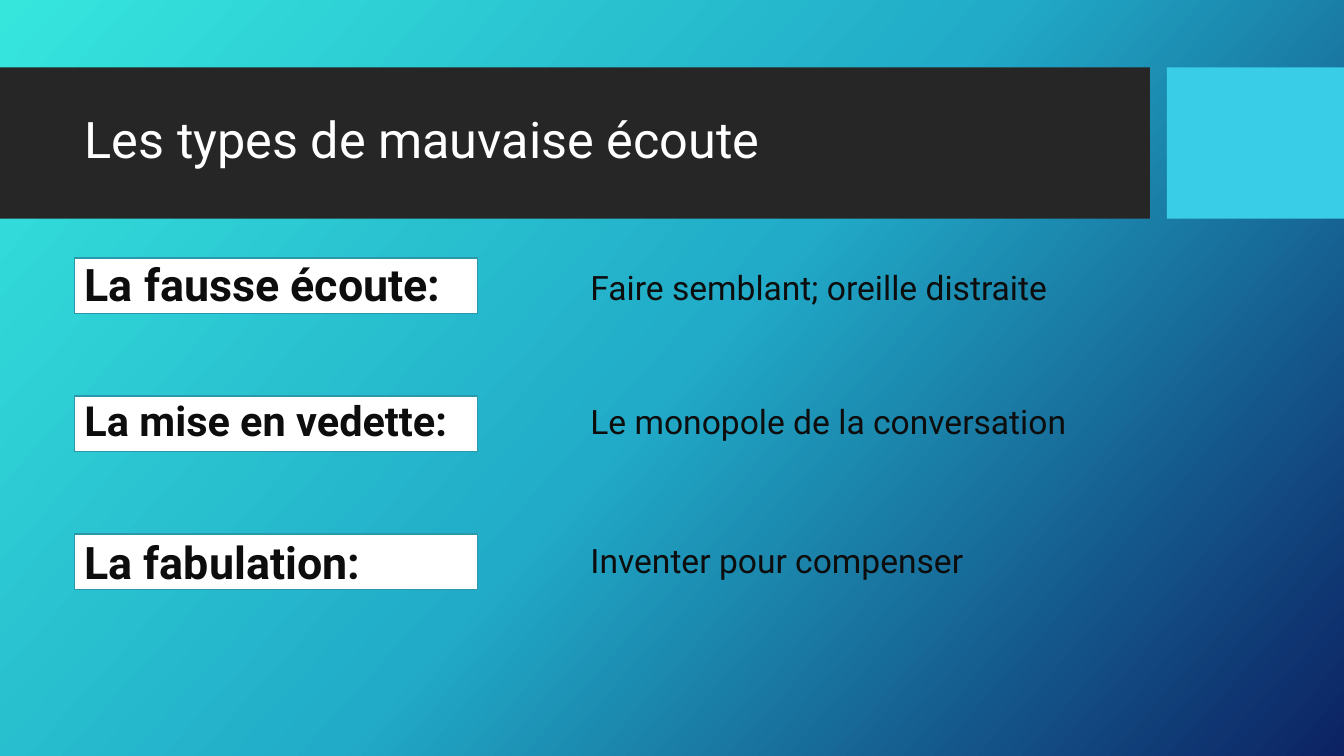
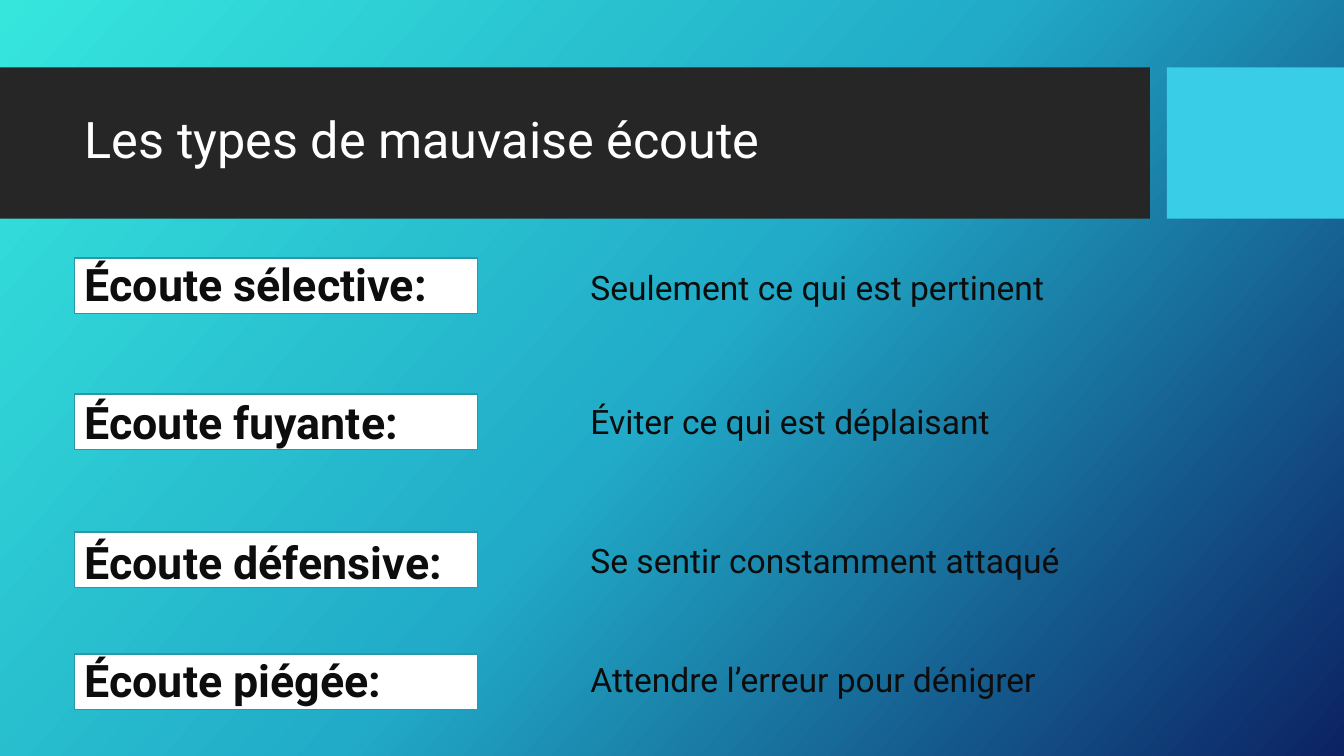
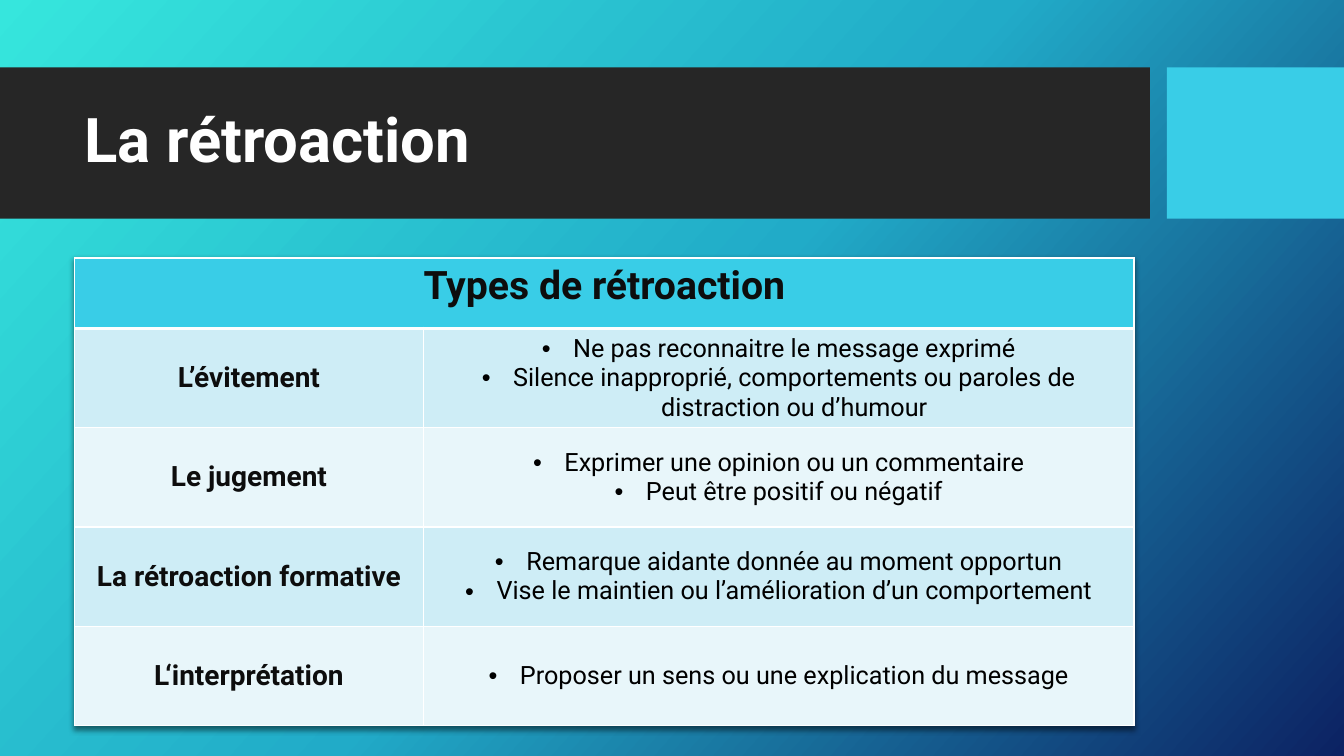
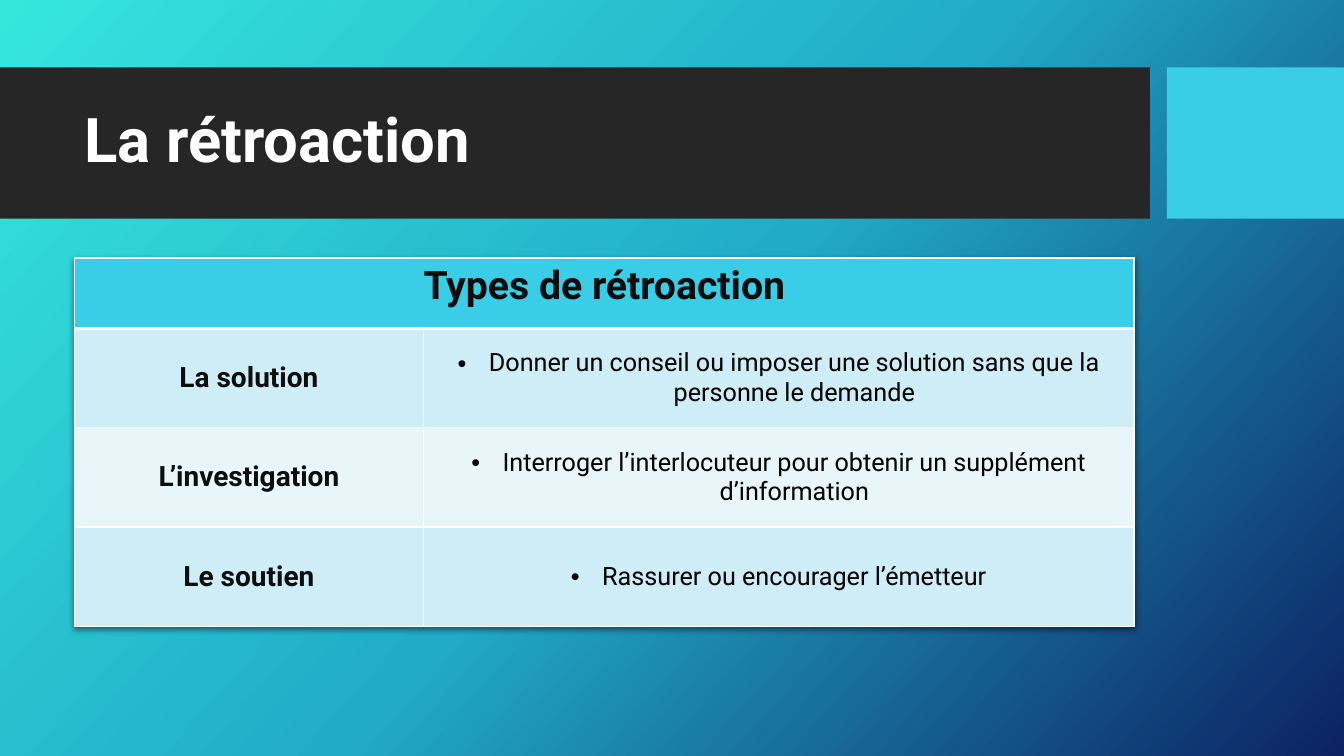
from copy import deepcopy

from lxml.etree import SubElement
from pptx import Presentation
from pptx.dml.color import RGBColor
from pptx.enum.shapes import MSO_SHAPE
from pptx.enum.text import MSO_ANCHOR, MSO_AUTO_SIZE, PP_ALIGN
from pptx.oxml import parse_xml
from pptx.oxml.ns import nsdecls, qn
from pptx.text.text import Font
from pptx.util import Cm, Pt

FONT = "Roboto"
WHITE = RGBColor(0xFF, 0xFF, 0xFF)
BLACK = RGBColor(0, 0, 0)
INK = RGBColor(0x0D, 0x0D, 0x0D)
CHARCOAL = RGBColor(0x26, 0x26, 0x26)
CYAN = RGBColor(0x39, 0xCD, 0xE7)
TEAL = RGBColor(0x2A, 0x98, 0xAB)
ROW_FILLS = (RGBColor(0xCE, 0xED, 0xF6), RGBColor(0xE8, 0xF6, 0xFA))
BACKGROUND_STOPS = (
    (0, RGBColor(0x36, 0xE6, 0xDD)),
    (0.5, RGBColor(0x21, 0xAB, 0xC8)),
    (1, RGBColor(0x0C, 0x22, 0x63)),
)
BACKGROUND_ANGLE = 42

SLIDE_WIDTH, SLIDE_HEIGHT = Cm(33.87), Cm(19.05)
MARGIN, CONTENT_TOP, CONTENT_WIDTH = Cm(1.88), Cm(6.5), Cm(26.7)
BAND_TOP, BAND_HEIGHT = Cm(1.7), Cm(3.81)
BANDS = ((Cm(0), Cm(28.98), CHARCOAL), (Cm(29.41), Cm(4.46), CYAN))  # left, width, fill

LABEL_TOPS = (CONTENT_TOP, Cm(9.98), Cm(13.49), Cm(16.48))
MEANING_TOPS = (Cm(6.6),) + LABEL_TOPS[1:]
LABEL_SIZE = 32
COLUMN_WIDTHS = (Cm(8.79), Cm(17.91))
HEADER_HEIGHT, ROW_HEIGHT = Cm(1.78), Cm(2.5)
BULLET_INDENT = Cm(0.79)

LISTENING_TITLE = "Les types de mauvaise écoute"
LISTENING_SLIDES = [
    {
        "box_tops": (CONTENT_TOP, Cm(9.98), Cm(13.46)),
        "label_sizes": {"La mise en vedette:": 29.6},
        "rows": [
            ("La fausse écoute:", "Faire semblant; oreille distraite"),
            ("La mise en vedette:", "Le monopole de la conversation"),
            ("La fabulation:", "Inventer pour compenser"),
        ],
    },
    {
        "box_tops": (CONTENT_TOP, Cm(9.93), Cm(13.41), Cm(16.48)),
        "label_sizes": {},
        "rows": [
            ("Écoute sélective:", "Seulement ce qui est pertinent"),
            ("Écoute fuyante:", "Éviter ce qui est déplaisant"),
            ("Écoute défensive:", "Se sentir constamment attaqué"),
            ("Écoute piégée:", "Attendre l’erreur pour dénigrer"),
        ],
    },
]

FEEDBACK_TITLE = "La rétroaction"
FEEDBACK_HEADER = "Types de rétroaction"
FEEDBACK_SLIDES = [
    [
        ("L’évitement", [
            "Ne pas reconnaitre le message exprimé",
            "Silence inapproprié, comportements ou paroles de distraction ou d’humour",
        ]),
        ("Le jugement", [
            "Exprimer une opinion ou un commentaire",
            "Peut être positif ou négatif",
        ]),
        ("La rétroaction formative", [
            "Remarque aidante donnée au moment opportun",
            "Vise le maintien ou l’amélioration d’un comportement",
        ]),
        ("L‘interprétation", ["Proposer un sens ou une explication du message"]),
    ],
    [
        ("La solution", [
            "Donner un conseil ou imposer une solution sans que la personne le demande",
        ]),
        ("L’investigation", [
            "Interroger l’interlocuteur pour obtenir un supplément d’information",
        ]),
        ("Le soutien", ["Rassurer ou encourager l’émetteur"]),
    ],
]


def style_font(font, size, color, bold=False):
    font.name = FONT
    font.size = Pt(size)
    font.bold = bold
    font.color.rgb = color


def place(shape, left, top, width, height):
    shape.left, shape.top, shape.width, shape.height = left, top, width, height


def add_rectangle(slide, left, top, width, height, fill, line=None):
    shape = slide.shapes.add_shape(MSO_SHAPE.RECTANGLE, left, top, width, height)
    shape.shadow.inherit = False
    shape.fill.solid()
    shape.fill.fore_color.rgb = fill
    if line is None:
        shape.line.fill.background()
    else:
        shape.line.color.rgb = line
        shape.line.width = Pt(1)
    return shape


def send_to_back(shape, shapes):
    """Put the shape behind everything in shapes, which may be those of the master."""
    shapes.element.insert(2, shape.element)


def style_master(master):
    """Set the gradient background and the title style that all slides inherit."""
    fill = master.background.fill
    fill.gradient()
    fill.gradient_angle = 360 - BACKGROUND_ANGLE
    stop_list = master.element.xpath("./p:cSld/p:bg//a:gsLst")[0]
    stop_list.insert(1, deepcopy(stop_list[0]))
    for stop, (position, color) in zip(fill.gradient_stops, BACKGROUND_STOPS):
        stop.position = position
        stop.color.rgb = color

    title = master.placeholders[0]
    place(title, MARGIN, Cm(2.08), CONTENT_WIDTH, Cm(3))
    title.text_frame.vertical_anchor = MSO_ANCHOR.MIDDLE
    title.text_frame.auto_size = MSO_AUTO_SIZE.NONE
    level = master.element.xpath("./p:txStyles/p:titleStyle/a:lvl1pPr")[0]
    level.set("algn", "l")
    style_font(Font(level.find(qn("a:defRPr"))), 36, WHITE)


def add_bands(master, slide):
    """Draw the title bands on a slide, then hand them to the master."""
    for number, (left, width, fill) in enumerate(BANDS):
        band = add_rectangle(slide, left, BAND_TOP, width, BAND_HEIGHT, fill)
        band.element.nvSpPr.cNvPr.id = 20 + number
        send_to_back(band, master.shapes)


def set_title(slide, text, size=36, bold=False):
    slide.shapes.title.text_frame.text = text
    paragraph = slide.shapes.title.text_frame.paragraphs[0]
    paragraph.line_spacing = 0.9
    style_font(paragraph.font, size, WHITE, bold)


def set_bullet(paragraph, character=None):
    """Give the paragraph a hanging bullet, or none; call before other formatting."""
    properties = paragraph._p.get_or_add_pPr()
    indent = BULLET_INDENT if character else 0
    properties.set("marL", str(indent))
    properties.set("indent", str(-indent))
    if character:
        SubElement(properties, qn("a:buFont")).set("typeface", "Arial")
        SubElement(properties, qn("a:buChar")).set("char", character)
    else:
        SubElement(properties, qn("a:buNone"))


def fill_label(shape, top, text, size):
    place(shape, MARGIN, top, Cm(11.02), Cm(2.11))
    frame = shape.text_frame
    frame.word_wrap = True
    frame.auto_size = MSO_AUTO_SIZE.NONE
    frame.text = text
    paragraph = frame.paragraphs[0]
    set_bullet(paragraph)
    paragraph.line_spacing = 0.9
    paragraph.space_before = Pt(10)
    style_font(paragraph.font, size, INK, bold=True)


def add_meaning(slide, top, text):
    frame = slide.shapes.add_textbox(Cm(14.63), top, Cm(18.5), Cm(1.27)).text_frame
    frame.word_wrap = True
    frame.auto_size = MSO_AUTO_SIZE.SHAPE_TO_FIT_TEXT
    frame.text = text
    style_font(frame.paragraphs[0].font, 24, INK)


def fill_listening_slide(slide, content):
    set_title(slide, LISTENING_TITLE)
    for index, (label, meaning) in enumerate(content["rows"]):
        box = add_rectangle(slide, MARGIN, content["box_tops"][index],
                            Cm(10.16), Cm(1.4), WHITE, TEAL)
        send_to_back(box, slide.shapes)
        if index == 0:
            label_shape = slide.placeholders[1]
        else:
            label_shape = slide.shapes.add_textbox(0, 0, 0, 0)
        size = content["label_sizes"].get(label, LABEL_SIZE)
        fill_label(label_shape, LABEL_TOPS[index], label, size)
        add_meaning(slide, MEANING_TOPS[index], meaning)


def set_borders(cell, bottom_width=1):
    properties = cell._tc.get_or_add_tcPr()
    for side, width in (("L", 1), ("R", 1), ("T", 1), ("B", bottom_width)):
        line = SubElement(properties, qn(f"a:ln{side}"), w=str(Pt(width)))
        solid = SubElement(line, qn("a:solidFill"))
        SubElement(solid, qn("a:srgbClr"), val=str(WHITE))


def fill_cell(cell, lines, size, color, fill, bold=False, bullet=None):
    cell.text = "\n".join(lines)
    cell.fill.solid()
    cell.fill.fore_color.rgb = fill
    for paragraph in cell.text_frame.paragraphs:
        if bullet:
            set_bullet(paragraph, bullet)
        paragraph.alignment = PP_ALIGN.CENTER
        style_font(paragraph.font, size, color, bold)


def add_table_shadow(table):
    table._tbl.tblPr.insert(0, parse_xml(
        f'<a:effectLst {nsdecls("a")}>'
        '<a:outerShdw blurRad="50800" dist="25400" dir="5400000" rotWithShape="0">'
        '<a:srgbClr val="000000"><a:alpha val="50000"/></a:srgbClr>'
        '</a:outerShdw></a:effectLst>'))


def fill_feedback_slide(slide, rows):
    set_title(slide, FEEDBACK_TITLE, 44, bold=True)
    height = HEADER_HEIGHT + ROW_HEIGHT * len(rows)
    table = slide.shapes.add_table(len(rows) + 1, 2, MARGIN, CONTENT_TOP,
                                   CONTENT_WIDTH, height).table
    add_table_shadow(table)
    for column, width in zip(table.columns, COLUMN_WIDTHS):
        column.width = width

    table.rows[0].height = HEADER_HEIGHT
    header = table.cell(0, 0)
    header.merge(table.cell(0, 1))
    for cell in table.rows[0].cells:
        set_borders(cell, bottom_width=3)
    fill_cell(header, [FEEDBACK_HEADER], 28, INK, CYAN, bold=True)

    for index, (kind, points) in enumerate(rows):
        row = table.rows[index + 1]
        row.height = ROW_HEIGHT
        fill = ROW_FILLS[index % 2]
        kind_cell, points_cell = row.cells
        for cell in (kind_cell, points_cell):
            set_borders(cell)
            cell.vertical_anchor = MSO_ANCHOR.MIDDLE
        fill_cell(kind_cell, [kind], 20, INK, fill, bold=True)
        fill_cell(points_cell, points, 18, BLACK, fill, bullet="•")


def main():
    presentation = Presentation()
    presentation.slide_width, presentation.slide_height = SLIDE_WIDTH, SLIDE_HEIGHT
    master = presentation.slide_master
    style_master(master)
    content_layout = presentation.slide_layouts.get_by_name("Title and Content")
    title_layout = presentation.slide_layouts.get_by_name("Title Only")

    for content in LISTENING_SLIDES:
        fill_listening_slide(presentation.slides.add_slide(content_layout), content)
    for rows in FEEDBACK_SLIDES:
        fill_feedback_slide(presentation.slides.add_slide(title_layout), rows)
    add_bands(master, presentation.slides[0])
    presentation.save("out.pptx")


if __name__ == "__main__":
    main()
